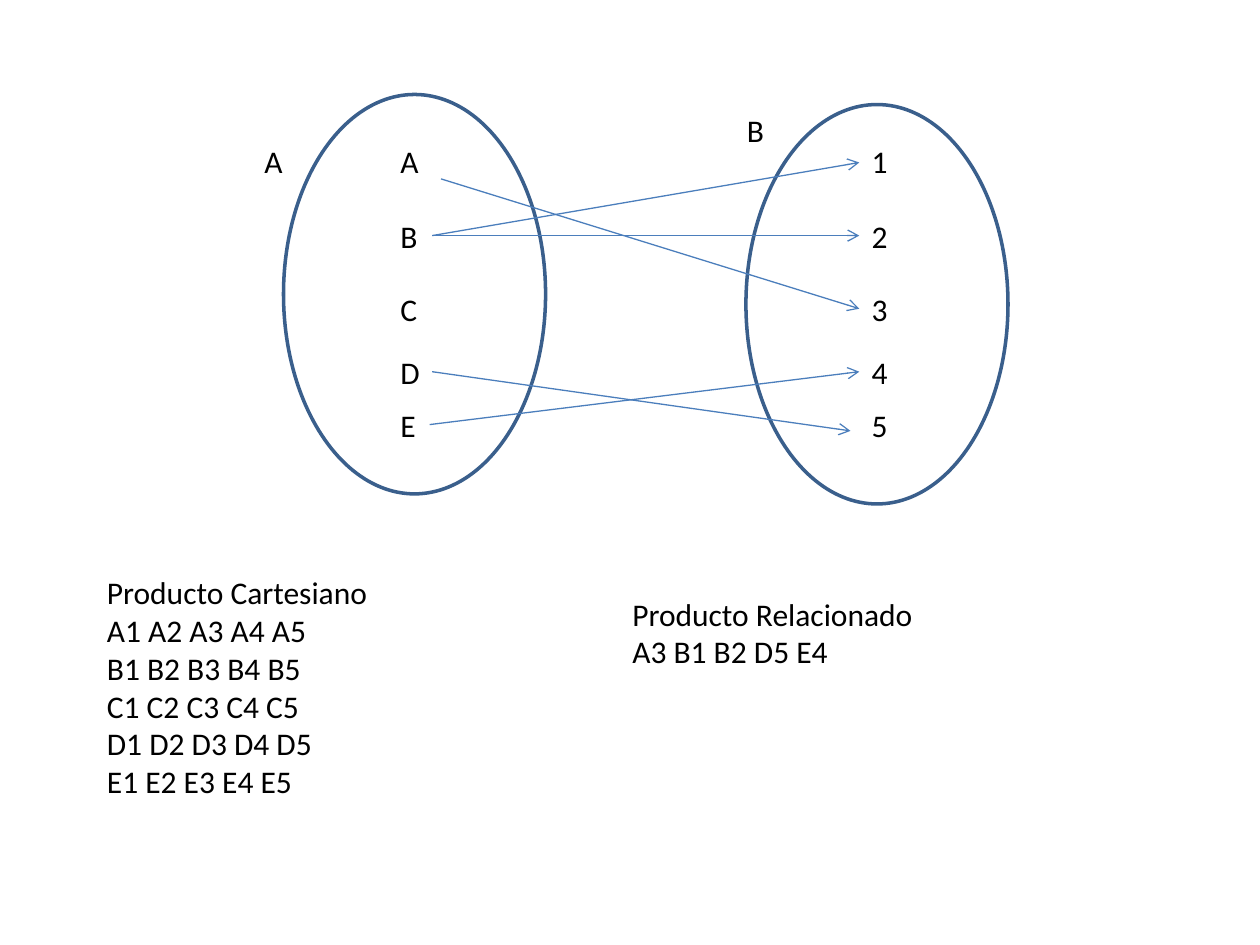
from dataclasses import dataclass

from lxml import etree
from pptx import Presentation
from pptx.dml.color import RGBColor
from pptx.enum.shapes import MSO_CONNECTOR, MSO_SHAPE
from pptx.enum.text import MSO_AUTO_SIZE
from pptx.oxml.ns import qn
from pptx.util import Inches, Pt


@dataclass(frozen=True)
class Theme:
    font: str = "Calibri"
    text_size: float = 18
    text: RGBColor = RGBColor(0x00, 0x00, 0x00)
    outline: RGBColor = RGBColor(0x3A, 0x5F, 0x8C)
    outline_width: float = 2
    arrow: RGBColor = RGBColor(0x4B, 0x7E, 0xBC)
    arrow_width: float = 0.75


class SlideBuilder:
    def __init__(self, slide, theme):
        self.shapes = slide.shapes
        self.theme = theme

    def set_outline(self, left, top, width, height):
        ellipse = self.shapes.add_shape(
            MSO_SHAPE.OVAL, Inches(left), Inches(top), Inches(width), Inches(height))
        ellipse.shadow.inherit = False
        ellipse.fill.background()
        ellipse.line.color.rgb = self.theme.outline
        ellipse.line.width = Pt(self.theme.outline_width)

    def text(self, lines, left, top, width=0.35, height=0.4):
        box = self.shapes.add_textbox(
            Inches(left), Inches(top), Inches(width), Inches(height))
        frame = box.text_frame
        frame.word_wrap = False
        frame.auto_size = MSO_AUTO_SIZE.SHAPE_TO_FIT_TEXT
        for index, line in enumerate(lines):
            paragraph = frame.add_paragraph() if index else frame.paragraphs[0]
            run = paragraph.add_run()
            run.text = line
            run.font.name = self.theme.font
            run.font.size = Pt(self.theme.text_size)
            run.font.color.rgb = self.theme.text

    def arrow(self, start, end):
        connector = self.shapes.add_connector(
            MSO_CONNECTOR.STRAIGHT, *(Inches(value) for value in (*start, *end)))
        connector.line.color.rgb = self.theme.arrow
        connector.line.width = Pt(self.theme.arrow_width)
        properties = connector.element.spPr
        etree.SubElement(properties.find(qn("a:ln")), qn("a:tailEnd"), type="arrow")
        etree.SubElement(properties, qn("a:effectLst"))


SET_A = "ABCDE"
SET_B = "12345"
ROW_TOPS = (1.08, 1.67, 2.25, 2.75, 3.17)

# Each related pair with the ends of its arrow
RELATION = {
    "A3": ((3.5, 1.42), (6.82, 2.45)),
    "B1": ((3.43, 1.87), (6.82, 1.29)),
    "B2": ((3.43, 1.87), (6.82, 1.87)),
    "D5": ((3.43, 2.95), (6.75, 3.42)),
    "E4": ((3.41, 3.37), (6.82, 2.95)),
}


def main():
    presentation = Presentation()
    presentation.slide_width = Inches(10)
    presentation.slide_height = Inches(7.5)
    blank_layout = presentation.slide_layouts[6]
    builder = SlideBuilder(presentation.slides.add_slide(blank_layout), Theme())

    # Outlines and names of the two sets
    builder.set_outline(2.25, 0.75, 2.08, 3.17)
    builder.set_outline(5.92, 0.83, 2.08, 3.17)
    builder.text(["A"], 2, 1.08)
    builder.text(["B"], 5.83, 0.83)

    # Elements of each set, on shared rows
    for elements, left, width in ((SET_A, 3.08, 0.35), (SET_B, 6.82, 0.33)):
        for element, top in zip(elements, ROW_TOPS):
            builder.text([element], left, top, width)

    # Arrows of the relation
    for start, end in RELATION.values():
        builder.arrow(start, end)

    # Cartesian product and the related pairs
    product_rows = [" ".join(a + b for b in SET_B) for a in SET_A]
    builder.text(["Producto Cartesiano", *product_rows], 0.75, 4.5, 2.29, 1.92)
    builder.text(["Producto Relacionado", " ".join(RELATION)], 4.92, 4.67, 2.45, 0.71)

    presentation.save("out.pptx")


if __name__ == "__main__":
    main()
